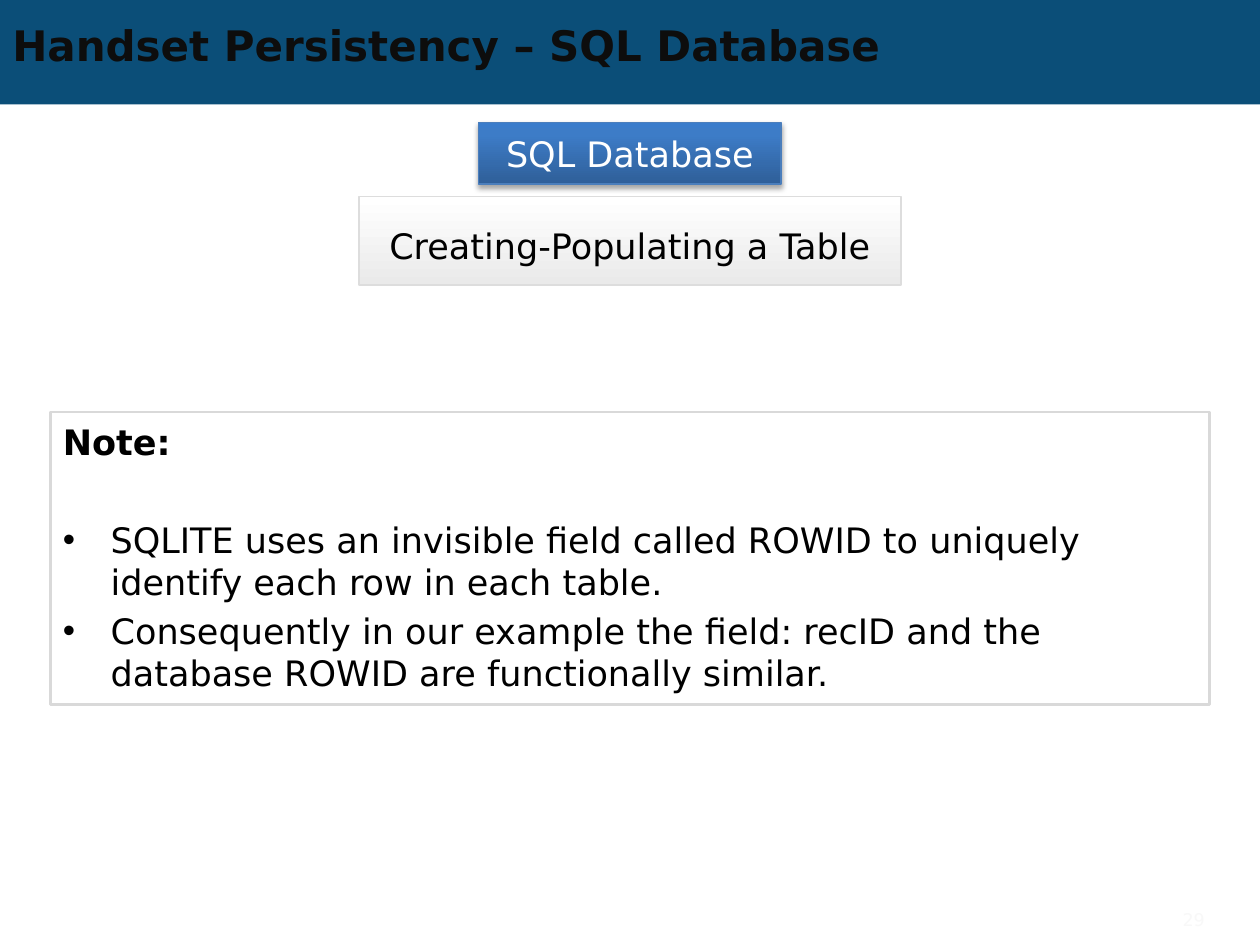
from lxml.etree import SubElement
from pptx import Presentation
from pptx.dml.color import RGBColor
from pptx.enum.shapes import MSO_SHAPE
from pptx.enum.text import MSO_ANCHOR, PP_ALIGN
from pptx.oxml import parse_xml
from pptx.oxml.ns import nsdecls, qn
from pptx.util import Inches, Pt

FONT = "DejaVu Sans"
SLIDE_WIDTH, SLIDE_HEIGHT = 10, 7.5
TITLE = "Handset Persistency – SQL Database"
HEADINGS = [
    dict(text="SQL Database", top=0.97, width=2.4, height=0.49,
         stops=[(0, "2F5F99"), (80, "3D7CC7"), (100, "3A7CCB")], angle=270,
         border="4B7EBC", border_width=0.75, color="FFFFFF", shadow=True),
    dict(text="Creating-Populating a Table", top=1.56, width=4.3, height=0.7,
         stops=[(0, "FFFFFF"), (100, "EAEAEA")], angle=90,
         border="DDDDDD", border_width=1, color="000000", line_spacing=Pt(30)),
]
NOTE_LABEL = "Note:"
NOTES = [
    "SQLITE uses an invisible field called ROWID to uniquely identify each row in each table.",
    "Consequently in our example the field: recID and the database ROWID are functionally similar.",
]
PAGE_NUMBER = "29"


def rgb(value):
    return RGBColor.from_string(value)


def write(paragraph, text, size=20, color="000000", bold=False, align=PP_ALIGN.LEFT,
          before=0, line_spacing=None, bullet=False):
    if bullet:
        properties = paragraph._p.get_or_add_pPr()
        properties.set("marL", str(Inches(0.38)))
        properties.set("indent", str(-Inches(0.38)))
        SubElement(properties, qn("a:buFont"), typeface="Arial")
        SubElement(properties, qn("a:buChar"), char="•")
    paragraph.alignment = align
    paragraph.space_before = Pt(before)
    if line_spacing:
        paragraph.line_spacing = line_spacing
    run = paragraph.add_run()
    run.text = text
    run.font.name = FONT
    run.font.size = Pt(size)
    run.font.bold = bold
    run.font.color.rgb = rgb(color)


def add_box(slide, left, top, width, height, border=None, border_width=1):
    box = slide.shapes.add_shape(MSO_SHAPE.RECTANGLE, Inches(left), Inches(top),
                                 Inches(width), Inches(height))
    box.shadow.inherit = False
    box.fill.background()
    if border:
        box.line.color.rgb = rgb(border)
        box.line.width = Pt(border_width)
    else:
        box.line.fill.background()
    box.text_frame.word_wrap = True
    return box


def add_label(slide, left, top, width, height, text, **format):
    frame = slide.shapes.add_textbox(Inches(left), Inches(top), Inches(width),
                                     Inches(height)).text_frame
    frame.word_wrap = True
    frame.vertical_anchor = MSO_ANCHOR.MIDDLE
    write(frame.paragraphs[0], text, **format)


def set_gradient(box, stops, angle):
    stop_xml = "".join(f'<a:gs pos="{pos * 1000}"><a:srgbClr val="{color}"/></a:gs>'
                       for pos, color in stops)
    gradient = parse_xml(f'<a:gradFill {nsdecls("a")} rotWithShape="1"><a:gsLst>{stop_xml}</a:gsLst>'
                         f'<a:lin ang="{angle * 60000}" scaled="0"/></a:gradFill>')
    properties = box._element.spPr
    properties.replace(properties.find(qn("a:noFill")), gradient)


def add_shadow(box):
    effects = box._element.spPr.find(qn("a:effectLst"))
    effects.append(parse_xml(
        f'<a:outerShdw {nsdecls("a")} blurRad="{Pt(3.1)}" dist="{Pt(1.8)}" dir="5400000" '
        'rotWithShape="0"><a:srgbClr val="000000"><a:alpha val="35000"/></a:srgbClr></a:outerShdw>'))


def add_heading(slide, text, top, width, height, stops, angle, border, border_width,
                color, shadow=False, line_spacing=None):
    box = add_box(slide, (SLIDE_WIDTH - width) / 2, top, width, height, border, border_width)
    set_gradient(box, stops, angle)
    if shadow:
        add_shadow(box)
    box.text_frame.vertical_anchor = MSO_ANCHOR.MIDDLE
    write(box.text_frame.paragraphs[0], text, color=color, align=PP_ALIGN.CENTER,
          line_spacing=line_spacing)


def add_notes(slide):
    frame = add_box(slide, 0.4, 3.27, 9.2, 2.32, "D9D9D9", 1.5).text_frame
    frame.vertical_anchor = MSO_ANCHOR.TOP
    frame.margin_top = Inches(0.07)
    write(frame.paragraphs[0], NOTE_LABEL, bold=True)
    for index, note in enumerate(NOTES):
        write(frame.add_paragraph(), note, bullet=True, before=4 if index else 32)


def main():
    presentation = Presentation()
    presentation.slide_width = Inches(SLIDE_WIDTH)
    presentation.slide_height = Inches(SLIDE_HEIGHT)
    slide = presentation.slides.add_slide(presentation.slide_layouts[6])

    banner = add_box(slide, 0, 0, SLIDE_WIDTH, 0.83)
    banner.fill.solid()
    banner.fill.fore_color.rgb = rgb("0B4E78")
    add_label(slide, 0, 0.14, 9, 0.43, TITLE, size=24, color="0D0D0D", bold=True)
    for heading in HEADINGS:
        add_heading(slide, **heading)
    add_notes(slide)
    add_label(slide, 8.66, 7.15, 1, 0.3, PAGE_NUMBER, size=10, color="F8F8F8",
              align=PP_ALIGN.RIGHT)
    presentation.save("out.pptx")


if __name__ == "__main__":
    main()
